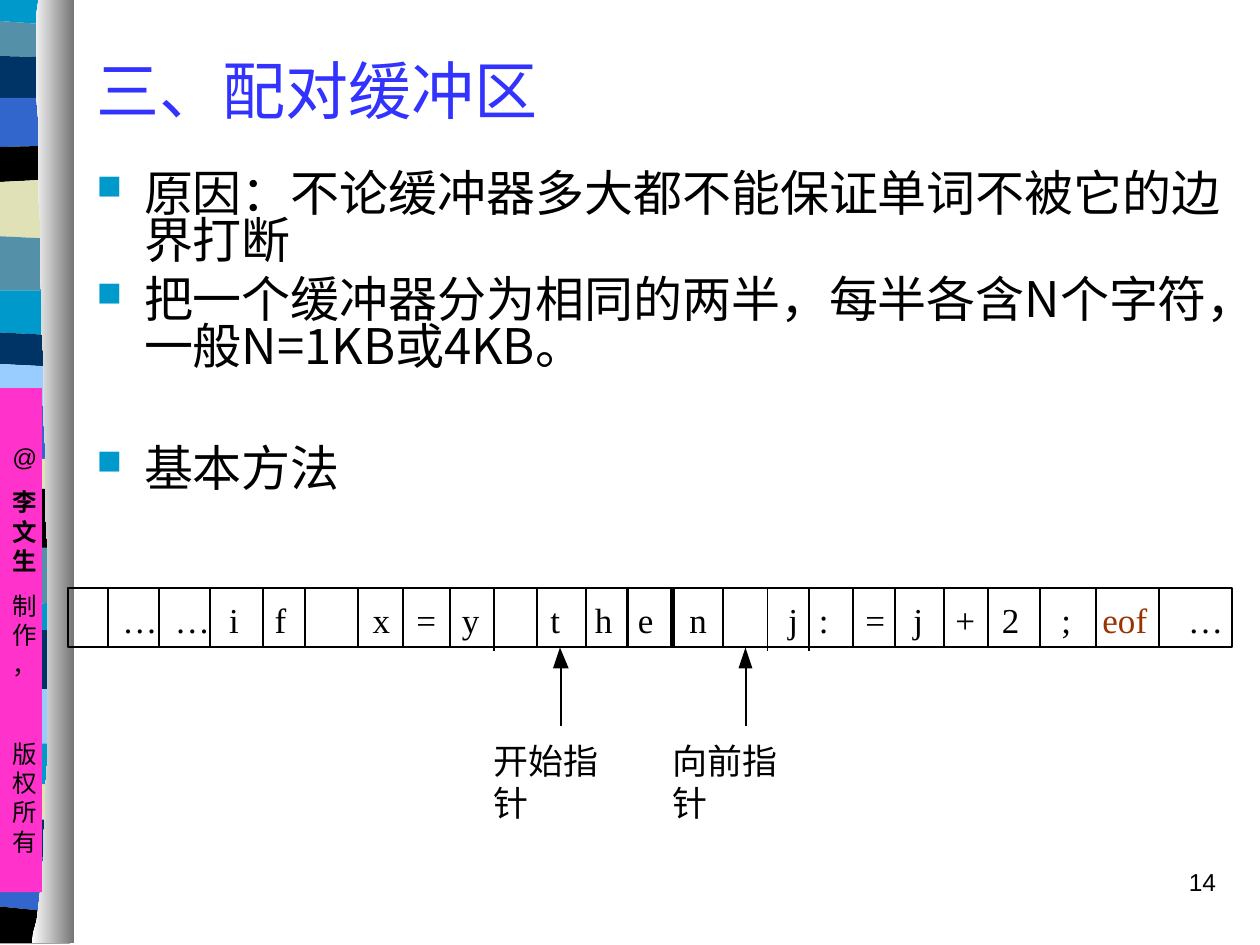
import pptx
import pptx.dml.color
import pptx.enum.shapes
import pptx.enum.text
import pptx.oxml
import pptx.oxml.ns
import pptx.util

Pt = pptx.util.Pt
ALIGN = pptx.enum.text.PP_ALIGN
ANCHOR = pptx.enum.text.MSO_ANCHOR
SHAPE = pptx.enum.shapes.MSO_SHAPE
NOTO = "Noto Sans CJK SC"
HUES = {
    "black": "000000", "title": "3333FF", "pink": "FF33CC", "eof": "993300",
    "cyan": "0099CC", "teal": "5490A8", "navy": "003366", "blue": "3366CC",
    "cream": "E1E1B7", "sky": "99CCFF", "white": "FFFFFF", "gray": "767676",
}
BANDS = [
    ("cyan", 0, 0), ("teal", 12.2, 15), ("navy", 32, 33), ("blue", 55.7, 55.5),
    ("black", 84, 83), ("cream", 104, 102.5), ("teal", 135, 137),
    ("cyan", 165.5, 166.5), ("navy", 189.5, 191.5), ("sky", 208.5, 209.5),
    ("blue", 232, 232), ("cream", 261, 263), ("black", 280.5, 279),
    ("teal", 313, 313), ("cyan", 346, 344), ("navy", 359.5, 359.5),
    ("sky", 394, 394), ("cyan", 425, 425), ("cream", 447, 449),
    ("navy", 469, 468), ("blue", 490.5, 490.5), ("black", 518.5, 522),
]
CELLS = [
    ("…", 70), ("…", 100), ("i", 131), ("f", 157), ("x", 213), ("=", 238),
    ("y", 264), ("t", 314.5), ("h", 340), ("e", 364.5), ("n", 394),
    ("j", 450.5), (":", 468), ("=", 494.5), ("j", 522), ("+", 546),
    ("2", 572.5), (";", 606.5), ("eof", 630), ("…", 679),
]
WALLS = [
    61.7, 90.7, 120.2, 150.5, 174.2, 204.5, 230.4, 257, 282.2, 306.7, 334.8,
    358.6, 384.5, 413.3, 438.5, 462.2, 487.4, 511.2, 539.3, 564.5, 594.4,
    626.4, 662.4,
]
THICK = {384.5: 3, 438.5: 0.75}
LONG = (282.2, 438.5, 462.2)
TOP, BASE = 336.2, 370


def tint(name):
    return pptx.dml.color.RGBColor.from_string(HUES[name])


def add_xml(parent, tag, **attrs):
    node = pptx.oxml.parse_xml(f"<{tag} {pptx.oxml.ns.nsdecls('a')}/>")
    for key, value in attrs.items():
        node.set(key, str(value))
    parent.append(node)
    return node


def write(para, text, size=20, face=NOTO, hue="black", bold=False):
    run = para.add_run()
    run.text = text
    font = run.font
    font.size, font.name, font.bold = Pt(size), face, bold
    font.color.rgb = tint(hue)
    add_xml(font._element, "a:ea", typeface=NOTO)


def set_frame(frame, pad=(7.2, 3.6), wrap=True, anchor=ANCHOR.TOP):
    frame.word_wrap, frame.vertical_anchor = wrap, anchor
    frame.margin_left = frame.margin_right = Pt(pad[0])
    frame.margin_top = frame.margin_bottom = Pt(pad[1])
    return frame


def add_box(slide, box, **style):
    shape = slide.shapes.add_textbox(*map(Pt, box))
    return set_frame(shape.text_frame, **style)


def add_poly(slide, points):
    maker = slide.shapes.build_freeform(*points[0], scale=Pt(1))
    maker.add_line_segments(points[1:])
    shape = maker.convert_to_shape()
    shape.shadow.inherit = False
    shape.line.fill.background()
    return shape


def paint(shape, hue):
    shape.fill.solid()
    shape.fill.fore_color.rgb = tint(hue)


def add_line(slide, x, top, low, width=1.25):
    line = slide.shapes.add_connector(
        pptx.enum.shapes.MSO_CONNECTOR.STRAIGHT, Pt(x), Pt(top), Pt(x), Pt(low))
    line.line.color.rgb = tint("black")
    line.line.width = Pt(width)
    add_xml(line._element.spPr, "a:effectLst")


def add_rect(slide, box):
    rect = slide.shapes.add_shape(SHAPE.RECTANGLE, *map(Pt, box))
    rect.shadow.inherit = False
    return rect


def curve(a, b, c, d, steps=40):
    points = []
    for i in range(steps + 1):
        t = i / steps
        u = 1 - t
        mix = (u ** 3, 3 * u * u * t, 3 * u * t * t, t ** 3)
        points.append(tuple(
            sum(m * p[k] for m, p in zip(mix, (a, b, c, d))) for k in (0, 1)))
    return points


def add_side(slide):
    ends = BANDS[1:] + [("", 539.3, 539.3)]
    for (hue, left, right), (_, low, rim) in zip(BANDS, ends):
        paint(add_poly(slide, [(0, left), (40, right), (40, rim), (0, low)]), hue)
    edge = curve((21.6, 0), (18, 90), (38.2, 465), (18, 539.3))
    fade = add_poly(slide, edge + [(41.8, 539.3), (41.8, 0)])
    fade.fill.gradient()
    fade.fill.gradient_angle = 0
    for stop, hue in zip(fade.fill.gradient_stops, ("white", "gray")):
        stop.color.rgb = tint(hue)

    strip = add_rect(slide, (0, 221.8, 24, 288))
    paint(strip, "pink")
    strip.line.fill.background()
    frame = set_frame(strip.text_frame)
    frame.margin_top = Pt(31)
    rows = [("@", 0, False), ("李文生", 8.8, True),
            ("制作，", 8.8, False), ("版权所有", 34, False)]
    for i, (text, gap, bold) in enumerate(rows):
        para = frame.add_paragraph() if i else frame.paragraphs[0]
        para.alignment, para.space_before = ALIGN.CENTER, Pt(gap)
        write(para, text, size=14, face="Arial", bold=bold)


def add_list(slide):
    frame = add_box(slide, (48.2, 95.8, 656.6, 203.8))
    rows = [("原因：不论缓冲器多大都不能保证单词不被它的边界打断", 0),
            ("把一个缓冲器分为相同的两半，每半各含N个字符，一般N=1KB或4KB。", 7),
            ("基本方法", 42.4)]
    for i, (text, gap) in enumerate(rows):
        para = frame.add_paragraph() if i else frame.paragraphs[0]
        para.line_spacing, para.space_before = 0.8, Pt(gap)
        props = para._p.get_or_add_pPr()
        props.set("marL", str(Pt(27)))
        props.set("indent", str(-Pt(27)))
        add_xml(add_xml(props, "a:buClr"), "a:srgbClr", val=HUES["cyan"])
        add_xml(props, "a:buSzPct", val=70000)
        add_xml(props, "a:buChar", char="■")
        write(para, text, size=28)


def add_tape(slide):
    start = CELLS[0][1]
    frame = add_box(slide, (start, 342, 634, 24), pad=(0, 0))
    para = frame.paragraphs[0]
    tabs = add_xml(para._p.get_or_add_pPr(), "a:tabLst")
    for i, (text, x) in enumerate(CELLS):
        if i:
            add_xml(tabs, "a:tab", pos=Pt(x - start), algn="l")
        write(para, "\t" + text if i else text, face="Times New Roman",
              hue="eof" if text == "eof" else "black")

    rect = add_rect(slide, (38.9, TOP, 665.3, BASE - TOP))
    rect.fill.background()
    rect.line.color.rgb = tint("black")
    rect.line.width = Pt(1.25)
    for x in WALLS:
        add_line(slide, x, TOP, BASE + 2.2 * (x in LONG), THICK.get(x, 1.25))


def add_mark(slide, x, left, text):
    add_line(slide, x, 414.7, 381.6)
    paint(add_poly(slide, [(x + 4.3, 382.3), (x, BASE), (x - 4.3, 382.3)]), "black")
    frame = add_box(slide, (left, 422.6, 80, 23.8), pad=(0, 0), wrap=False)
    write(frame.paragraphs[0], text)


def main():
    deck = pptx.Presentation()
    deck.slide_width, deck.slide_height = Pt(720), Pt(540)
    slide = deck.slides.add_slide(deck.slide_layouts[6])
    add_side(slide)
    head = add_box(slide, (48.2, 5.8, 656.6, 90), anchor=ANCHOR.MIDDLE)
    write(head.paragraphs[0], "三、配对缓冲区", size=36,
          face="Times New Roman", hue="title")
    add_list(slide)
    add_mark(slide, 320.4, 282.2, "开始指针")
    add_mark(slide, 426.2, 384.5, "向前指针")
    add_tape(slide)
    page = add_box(slide, (552.2, 491.8, 149.8, 36)).paragraphs[0]
    page.alignment = ALIGN.RIGHT
    write(page, "14", size=14, face="Arial")
    deck.save("out.pptx")


if __name__ == "__main__":
    main()
